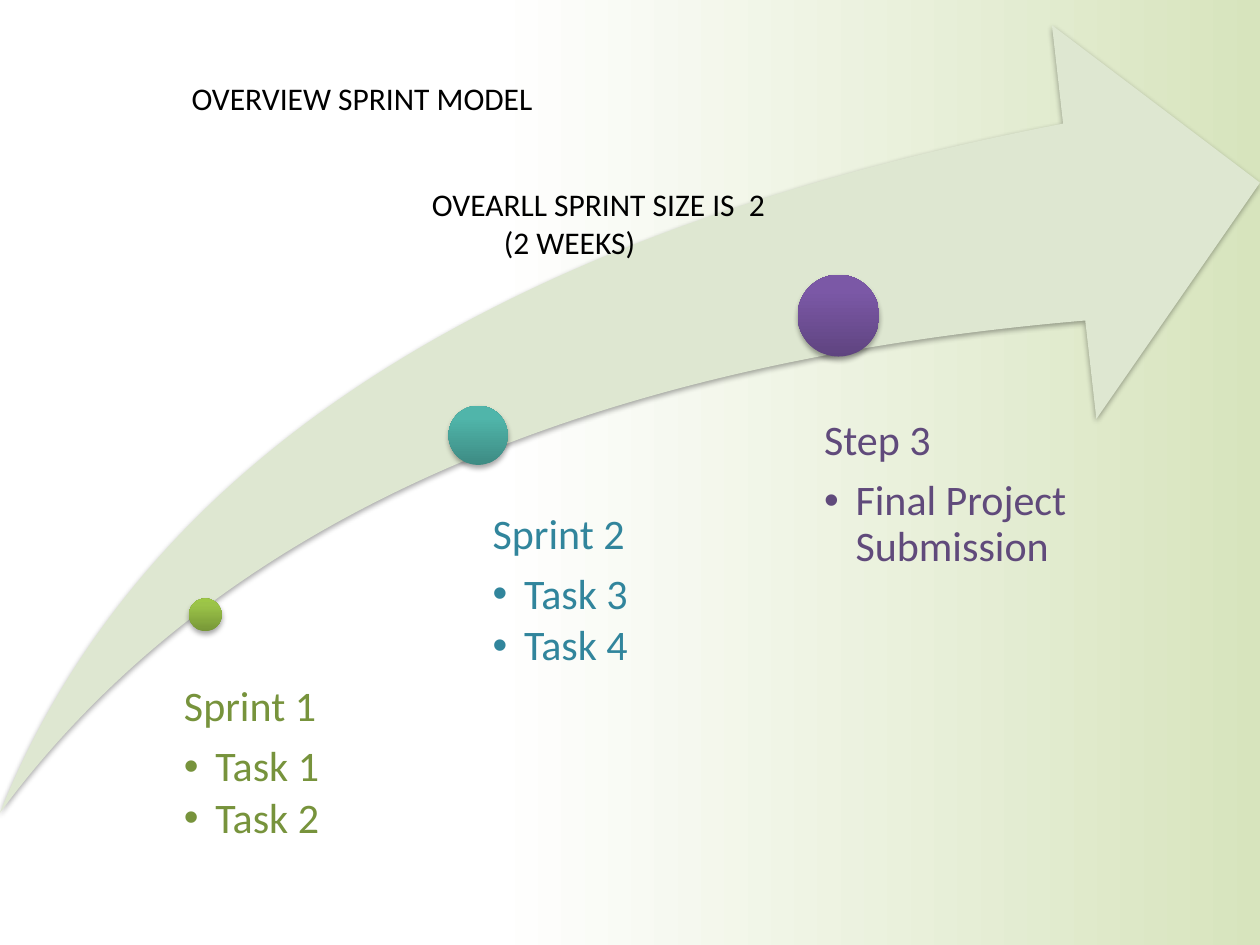
import pptx
import pptx.dml.color
import pptx.enum.shapes
import pptx.enum.text
import pptx.oxml.ns
import pptx.util
import lxml.etree

Inches = pptx.util.Inches
Pt = pptx.util.Pt
RGBColor = pptx.dml.color.RGBColor
MSO_SHAPE = pptx.enum.shapes.MSO_SHAPE
qn = pptx.oxml.ns.qn

BLACK = RGBColor(0x00, 0x00, 0x00)
WHITE = RGBColor(0xFF, 0xFF, 0xFF)
PALE_GREEN = RGBColor(0xD7, 0xE4, 0xBD)
ARROW_GREEN = RGBColor(0xDE, 0xE7, 0xD1)
GREEN = RGBColor(0x77, 0x93, 0x3C)
TEAL = RGBColor(0x31, 0x85, 0x9C)
PURPLE = RGBColor(0x60, 0x4A, 0x7B)
GREEN_SHADES = (RGBColor(0x77, 0x97, 0x37), RGBColor(0x9B, 0xC3, 0x48), RGBColor(0x9D, 0xC7, 0x46))
TEAL_SHADES = (RGBColor(0x3D, 0x8B, 0x83), RGBColor(0x50, 0xB5, 0xAA), RGBColor(0x4E, 0xB8, 0xAC))
PURPLE_SHADES = (RGBColor(0x5F, 0x44, 0x80), RGBColor(0x7B, 0x58, 0xA6), RGBColor(0x7C, 0x57, 0xA8))

TITLE = "OVERVIEW SPRINT MODEL"
SIZE_NOTE = [("OVEARLL SPRINT SIZE IS  2", 0), ("(2 WEEKS)", 0.57)]
STEPS = [
    {"heading": "Sprint 1", "tasks": ["Task 1", "Task 2"], "color": GREEN, "shades": GREEN_SHADES,
     "dot": (1.5, 4.75, 0.26), "box": (1.32, 5.44, 1.81, 1.81), "inset": 0.14},
    {"heading": "Sprint 2", "tasks": ["Task 3", "Task 4"], "color": TEAL, "shades": TEAL_SHADES,
     "dot": (3.56, 3.22, 0.47), "box": (3.66, 4.07, 2.4, 2.47), "inset": 0.25},
    {"heading": "Step 3", "tasks": ["Final Project Submission"], "color": PURPLE, "shades": PURPLE_SHADES,
     "dot": (6.33, 2.18, 0.65), "box": (6.2, 3.33, 2.4, 2.8), "inset": 0.34},
]


def paint_gradient(fill, owner, stops, angle):
    fill.gradient()
    fill.gradient_angle = angle
    stop_list = next(owner.iter(qn("a:gsLst")))
    for old_stop in list(stop_list):
        stop_list.remove(old_stop)
    for percent, color in stops:
        stop = lxml.etree.SubElement(stop_list, qn("a:gs"), pos=str(percent * 1000))
        lxml.etree.SubElement(stop, qn("a:srgbClr"), val=str(color))


def add_shadowed_shape(kind, left, top, width, height):
    shape = slide.shapes.add_shape(kind, Inches(left), Inches(top), Inches(width), Inches(height))
    shape.line.fill.background()
    shape.shadow.inherit = False
    effects = next(shape.element.iter(qn("a:effectLst")))
    shadow = lxml.etree.SubElement(effects, qn("a:outerShdw"), blurRad=str(Pt(3.1)),
                                   dist=str(Pt(1.8)), dir="5400000", rotWithShape="0")
    color = lxml.etree.SubElement(shadow, qn("a:srgbClr"), val=str(BLACK))
    lxml.etree.SubElement(color, qn("a:alpha"), val="35000")
    return shape


def place(box, left, top, width, height):
    box.left, box.top = Inches(left), Inches(top)
    box.width, box.height = Inches(width), Inches(height)


def write(para, text, size, color):
    para.alignment = pptx.enum.text.PP_ALIGN.LEFT
    span = para.add_run()
    span.text = text
    span.font.name = "Calibri"
    span.font.size = Pt(size)
    span.font.bold = False
    span.font.color.rgb = color


def indent(para, margin, first_line=0.0, bullet=None):
    properties = para._p.get_or_add_pPr()
    properties.set("marL", str(Inches(margin)))
    properties.set("indent", str(Inches(first_line)))
    if bullet:
        lxml.etree.SubElement(properties, qn("a:buFont"), typeface="Arial")
        lxml.etree.SubElement(properties, qn("a:buChar"), char=bullet)
    else:
        lxml.etree.SubElement(properties, qn("a:buNone"))


def fill_step(box, step):
    place(box, *step["box"])
    frame = box.text_frame
    frame.word_wrap = True
    frame.auto_size = pptx.enum.text.MSO_AUTO_SIZE.NONE
    frame.vertical_anchor = pptx.enum.text.MSO_ANCHOR.TOP
    frame.margin_left = Inches(step["inset"])
    frame.margin_top = frame.margin_right = frame.margin_bottom = 0
    for number, text in enumerate([step["heading"]] + step["tasks"]):
        para = frame.add_paragraph() if number else frame.paragraphs[0]
        para.line_spacing = 0.9
        para.space_before = Pt(0)
        para.space_after = Pt(3.6 if number else 8.4)
        if number:
            para.level = 1
            indent(para, 0.25, -0.25, "•")
        else:
            indent(para, 0)
        write(para, text, 24, step["color"])


deck = pptx.Presentation()
deck.slide_width, deck.slide_height = Inches(10), Inches(7.5)
slide = deck.slides.add_slide(deck.slide_layouts.get_by_name("Comparison"))
paint_gradient(slide.background.fill, slide.element, [(39, WHITE), (100, PALE_GREEN)], 0)

title = slide.shapes.title
place(title, 1.42, 0.58, 2.93, 0.4)
title.text_frame.word_wrap = False
title.text_frame.auto_size = pptx.enum.text.MSO_AUTO_SIZE.NONE
title.text_frame.vertical_anchor = pptx.enum.text.MSO_ANCHOR.TOP
write(title.text_frame.paragraphs[0], TITLE, 18, BLACK)

arrow = add_shadowed_shape(MSO_SHAPE.SWOOSH_ARROW, 0, 0.2, 10, 6.25)
arrow.adjustments[0] = arrow.adjustments[1] = 0.25
arrow.fill.solid()
arrow.fill.fore_color.rgb = ARROW_GREEN

bodies = [box for box in slide.placeholders if box.placeholder_format.idx > 0]
for body, step in zip(bodies, STEPS):
    fill_step(body, step)
    left, top, diameter = step["dot"]
    dot = add_shadowed_shape(MSO_SHAPE.OVAL, left, top, diameter, diameter)
    paint_gradient(dot.fill, dot.element, list(zip((0, 80, 100), step["shades"])), 90)
for unused in bodies[len(STEPS):]:
    unused.element.getparent().remove(unused.element)

note = slide.shapes.add_textbox(Inches(3.33), Inches(1.42), Inches(2.89), Inches(0.71))
note.text_frame.word_wrap = False
for number, (text, margin) in enumerate(SIZE_NOTE):
    para = note.text_frame.add_paragraph() if number else note.text_frame.paragraphs[0]
    indent(para, margin)
    write(para, text, 18, BLACK)

deck.save("out.pptx")
